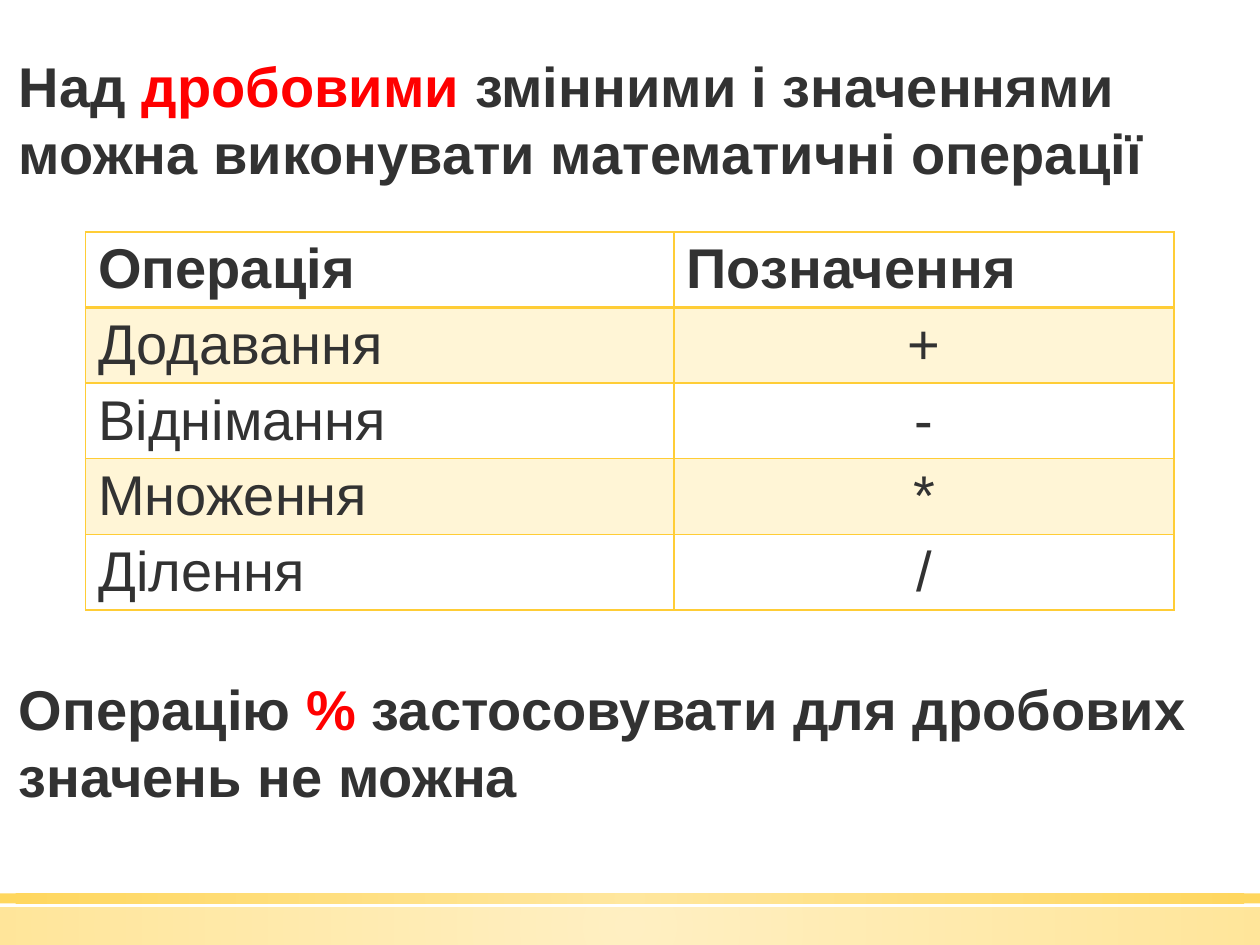
"""Build a slide on arithmetic operations with fractional values."""
from dataclasses import dataclass

from lxml import etree
from pptx import Presentation
from pptx.dml.color import RGBColor
from pptx.enum.shapes import MSO_SHAPE
from pptx.enum.text import MSO_AUTO_SIZE, PP_ALIGN
from pptx.oxml import parse_xml
from pptx.oxml.ns import nsdecls, qn
from pptx.util import Inches, Pt

RECT = MSO_SHAPE.RECTANGLE
CENTER = PP_ALIGN.CENTER
GROW = MSO_AUTO_SIZE.SHAPE_TO_FIT_TEXT


@dataclass(frozen=True)
class Theme:
    font: str = "Arial"
    size: int = 32
    text: str = "323232"
    accent: str = "FF0000"
    gold: str = "FFCD36"
    pale_gold: str = "FFE186"


theme = Theme()


def style_run(r, color=theme.text, bold=True):
    r.font.name = theme.font
    r.font.size = Pt(theme.size)
    r.font.bold = bold
    r.font.color.rgb = RGBColor.from_string(color)


def set_alpha(element, percent):
    for clr in element.iter(qn("a:srgbClr")):
        etree.SubElement(clr, qn("a:alpha")).set("val", str(percent * 1000))


prs = Presentation()
prs.slide_width, prs.slide_height = Inches(10), Inches(7.5)
s = prs.slides.add_slide(prs.slide_layouts[6])

for top, height, opacity in [(7.2, 0.3, 50), (7.09, 0.08, 80)]:
    sp = s.shapes.add_shape(RECT, 0, Inches(top), Inches(10), Inches(height))
    sp.shadow.inherit = False
    sp.line.fill.background()
    sp.fill.gradient()
    for stop, color in zip(sp.fill.gradient_stops, (theme.pale_gold, theme.gold)):
        stop.color.rgb = RGBColor.from_string(color)
    grad = sp.element.spPr.find(qn("a:gradFill"))
    set_alpha(grad, opacity)
    grad.replace(grad.find(qn("a:lin")), parse_xml(
        f'<a:path {nsdecls("a")} path="circle">'
        '<a:fillToRect l="50000" t="50000" r="50000" b="50000"/></a:path>'))

rows = [
    ("Операція", "Позначення"),
    ("Додавання", "+"),
    ("Віднімання", "-"),
    ("Множення", "*"),
    ("Ділення", "/"),
]
row_height = Inches(0.6)
table = s.shapes.add_table(len(rows), 2, Inches(0.68), Inches(1.84),
                           Inches(8.64), row_height * len(rows)).table
for column, width in zip(table.columns, (4.67, 3.97)):
    column.width = Inches(width)
for i, row in enumerate(rows):
    table.rows[i].height = row_height
    for j, text in enumerate(row):
        cell = table.cell(i, j)
        tc_pr = cell._tc.get_or_add_tcPr()
        widths = {"L": 1, "R": 1, "T": 2 if i == 1 else 1, "B": 2 if i == 0 else 1}
        for side, width in widths.items():
            tc_pr.append(parse_xml(
                f'<a:ln{side} {nsdecls("a")} w="{Pt(width)}"><a:solidFill>'
                f'<a:srgbClr val="{theme.gold}"/></a:solidFill></a:ln{side}>'))
        if i % 2:
            cell.fill.solid()
            cell.fill.fore_color.rgb = RGBColor.from_string(theme.gold)
            set_alpha(tc_pr.find(qn("a:solidFill")), 20)
        else:
            cell.fill.background()
        p = cell.text_frame.paragraphs[0]
        p.text = text
        if i and j:
            p.alignment = CENTER
        style_run(p.runs[0], bold=i == 0)

statements = [
    (0.36, ("Над ", "дробовими",
            " змінними і значеннями можна виконувати математичні операції")),
    (5.3, ("Операцію ", "%", " застосовувати для дробових значень не можна")),
]
for top, parts in statements:
    tf = s.shapes.add_textbox(0, Inches(top), Inches(10), Inches(1.18)).text_frame
    tf.word_wrap = True
    tf.auto_size = GROW
    tf.margin_left = Inches(0.15)
    p = tf.paragraphs[0]
    for text, color in zip(parts, (theme.text, theme.accent, theme.text)):
        r = p.add_run()
        r.text = text
        style_run(r, color)

prs.save("out.pptx")
